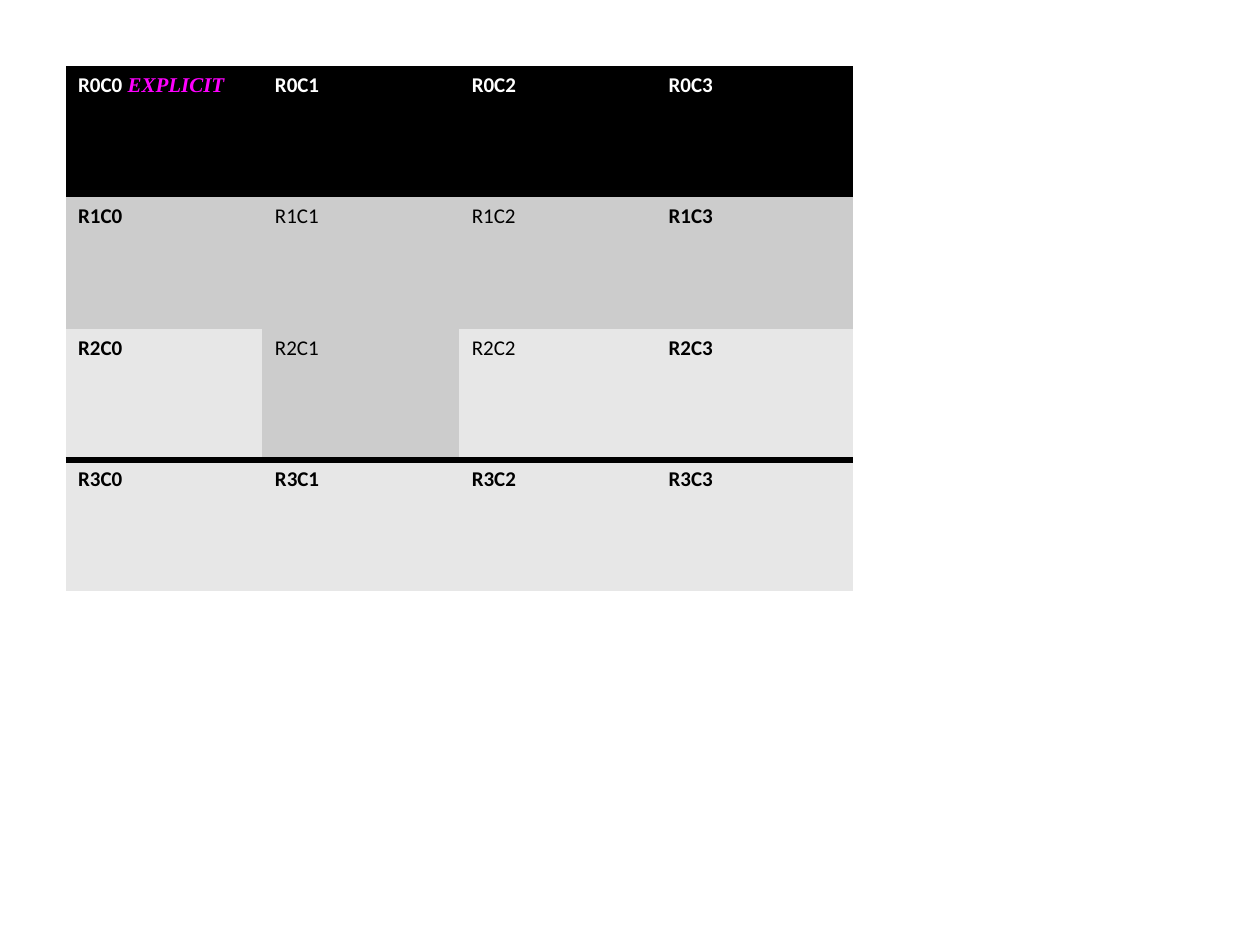
"""Build a slide with one table that shows header, banding and total-row styles."""
from lxml.etree import SubElement
from pptx import Presentation
from pptx.dml.color import RGBColor as Rgb
from pptx.oxml import parse_xml
from pptx.oxml.ns import nsdecls, qn
from pptx.util import Inches, Pt

SLIDE_WIDTH, SLIDE_HEIGHT = Inches(10), Inches(7.5)
ROWS, COLUMNS = 4, 4
BLACK, WHITE, MAGENTA = "000000", "FFFFFF", "FF00FF"
BAND, PALE = "CCCCCC", "E7E7E7"
PLAIN_STYLE = "{2D5ABB26-0587-4C30-8999-92F81FD0307C}"
BODY = {"name": "Calibri", "size": Pt(12), "italic": False}
EXPLICIT = {"name": "Times New Roman", "size": Pt(12), "bold": True, "italic": True}


def rgb(hex_code):
    """Turn a hex string into a colour."""
    return Rgb.from_string(hex_code)


def add_run(paragraph, words, color, formats):
    """Append a run with the given colour and font formats."""
    run = paragraph.add_run()
    run.text = words
    for attribute, value in formats.items():
        setattr(run.font, attribute, value)
    run.font.color.rgb = rgb(color)


def add_plain_table(slide):
    """Add an evenly spaced table without banding or grid lines."""
    table = slide.shapes.add_table(
        ROWS, COLUMNS,
        int(SLIDE_WIDTH * 0.052), int(SLIDE_HEIGHT * 0.07),
        int(SLIDE_WIDTH * 0.625), int(SLIDE_HEIGHT * 0.556),
    ).table
    table.first_row = table.horz_banding = False
    properties = table._tbl.tblPr
    style = properties.find(qn("a:tableStyleId"))
    if style is None:
        style = SubElement(properties, qn("a:tableStyleId"))
    style.text = PLAIN_STYLE
    return table


def add_top_border(cell, color, points):
    """Draw a solid line along the top of a cell."""
    border = parse_xml(
        f'<a:lnT {nsdecls("a")} w="{Pt(points)}"><a:solidFill>'
        f'<a:srgbClr val="{color}"/></a:solidFill></a:lnT>'
    )
    cell._tc.get_or_add_tcPr().insert(0, border)


def cell_fill(row, column):
    """Choose the fill colour for a place in the table."""
    if row == 0:
        return BLACK
    return BAND if row == 1 or (row, column) == (2, 1) else PALE


def style_cell(cell, row, column):
    """Fill one cell and write its label."""
    cell.fill.solid()
    cell.fill.fore_color.rgb = rgb(cell_fill(row, column))
    on_edge = row in (0, ROWS - 1) or column in (0, COLUMNS - 1)
    add_run(cell.text_frame.paragraphs[0], f"R{row}C{column}",
            BLACK if row else WHITE, {**BODY, "bold": on_edge})
    if row == ROWS - 1:
        add_top_border(cell, BLACK, 4)


def main():
    """Build and save the slide."""
    deck = Presentation()
    deck.slide_width, deck.slide_height = SLIDE_WIDTH, SLIDE_HEIGHT
    slide = deck.slides.add_slide(deck.slide_layouts[6])
    table = add_plain_table(slide)
    for row in range(ROWS):
        for column in range(COLUMNS):
            style_cell(table.cell(row, column), row, column)
    add_run(table.cell(0, 0).text_frame.paragraphs[0], " EXPLICIT", MAGENTA, EXPLICIT)
    deck.save("out.pptx")


if __name__ == "__main__":
    main()
